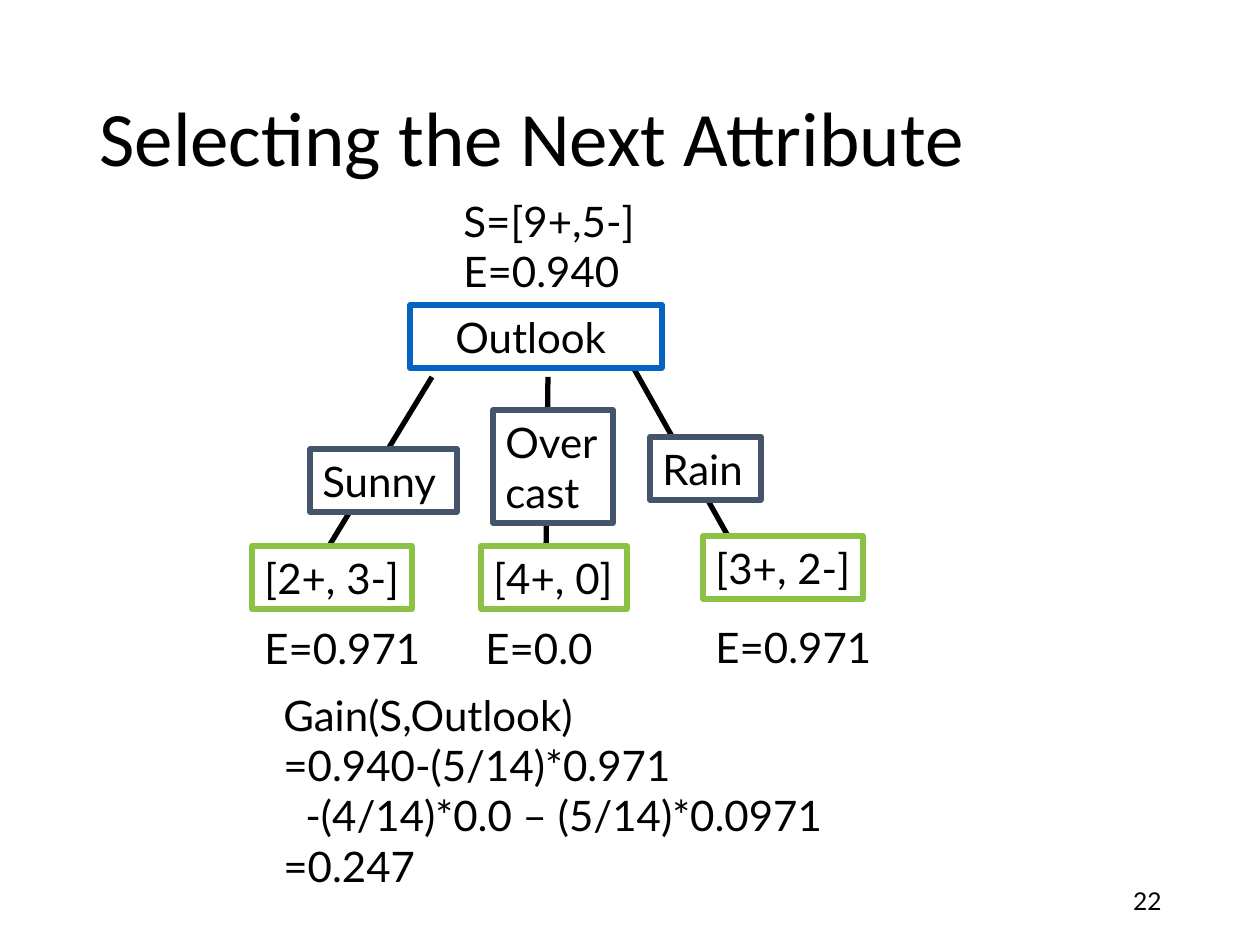
"""Builds a slide that evaluates Outlook as the next decision tree attribute."""
from dataclasses import dataclass

from lxml.etree import SubElement
from pptx import Presentation
from pptx.dml.color import RGBColor
from pptx.enum.shapes import MSO_CONNECTOR as Connector, MSO_SHAPE as Shape
from pptx.enum.text import MSO_ANCHOR as Anchor, PP_ALIGN as Align
from pptx.oxml.ns import qn
from pptx.slide import Slide
from pptx.util import Emu, Pt

PX_PER_INCH = 126
BLACK = RGBColor(0x00, 0x00, 0x00)
WHITE = RGBColor(0xFF, 0xFF, 0xFF)
BLUE = RGBColor(0x05, 0x63, 0xC1)
SLATE = RGBColor(0x44, 0x54, 0x6A)
GREEN = RGBColor(0x8B, 0xC1, 0x45)
STROKE = Pt(3)


@dataclass(frozen=True)
class Label:
    left: int
    top: int
    width: int
    height: int
    lines: tuple[str, ...]
    border: RGBColor | None = None
    size: int = 24
    font: str = "Lato"
    align: Align = Align.LEFT
    anchor: Anchor = Anchor.TOP
    spacing: float = 1.0
    wrap: bool = True
    indent: int = 0
    indented_line: int = 0


@dataclass(frozen=True)
class Branch:
    start: tuple[int, int]
    end: tuple[int, int]


BRANCHES = (
    Branch((432, 377), (329, 546)),
    Branch((633, 367), (728, 536)),
    Branch((548, 377), (546, 557)),
)

LABELS = (
    Label(87, 50, 1087, 183, ("Selecting the Next Attribute",), size=44,
          font="Calibri", anchor=Anchor.MIDDLE, spacing=0.9),
    Label(890, 876, 284, 50, ("22",), size=14, align=Align.RIGHT, anchor=Anchor.MIDDLE),
    Label(451, 189, 197, 113, ("S=[9+,5-]", "E=0.940"), wrap=False),
    Label(410, 305, 252, 63, ("Outlook",), BLUE, indent=33),
    Label(310, 449, 147, 63, ("Sunny",), SLATE),
    Label(493, 410, 120, 113, ("Over", "cast"), SLATE),
    Label(650, 437, 111, 63, ("Rain",), SLATE),
    Label(252, 546, 160, 63, ("[2+, 3-]",), GREEN, wrap=False),
    Label(481, 546, 146, 63, ("[4+, 0]",), GREEN, wrap=False),
    Label(703, 536, 160, 63, ("[3+, 2-]",), GREEN, wrap=False),
    Label(252, 630, 189, 48, ("E=0.971",), spacing=0.7),
    Label(473, 630, 189, 48, ("E=0.0",), spacing=0.7),
    Label(703, 615, 189, 63, ("E=0.971",)),
    Label(271, 683, 566, 214,
          ("Gain(S,Outlook)", "=0.940-(5/14)*0.971", "-(4/14)*0.0 – (5/14)*0.0971", "=0.247"),
          indent=22, indented_line=2),
)


def px(length: int) -> Emu:
    """Turn pixels into EMU."""
    return Emu(round(length * 914400 / PX_PER_INCH))


def draw_branch(page: Slide, branch: Branch) -> None:
    """Draw one straight branch of the tree."""
    ends = [px(length) for length in branch.start + branch.end]
    line = page.shapes.add_connector(Connector.STRAIGHT, *ends)
    line.line.color.rgb = BLACK
    line.line.width = STROKE
    SubElement(line._element.spPr, qn("a:effectLst"))


def draw_label(page: Slide, label: Label) -> None:
    """Draw a text box, or a bordered rectangle when a border is given."""
    bounds = [px(length) for length in (label.left, label.top, label.width, label.height)]
    if label.border is None:
        box = page.shapes.add_textbox(*bounds)
    else:
        box = page.shapes.add_shape(Shape.RECTANGLE, *bounds)
        box.shadow.inherit = False
        box.fill.solid()
        box.fill.fore_color.rgb = WHITE
        box.line.color.rgb = label.border
        box.line.width = STROKE
    frame = box.text_frame
    frame.word_wrap = label.wrap
    frame.vertical_anchor = label.anchor
    frame.text = "\n".join(label.lines)
    for para in frame.paragraphs:
        para.alignment = label.align
        para.line_spacing = label.spacing
        para.font.name = label.font
        para.font.size = Pt(label.size)
        para.font.color.rgb = BLACK
    if label.indent:
        properties = frame.paragraphs[label.indented_line]._p.get_or_add_pPr()
        properties.set("marL", str(px(label.indent)))


def main() -> None:
    """Build and save the deck."""
    deck = Presentation()
    deck.slide_width, deck.slide_height = px(1260), px(945)
    page = deck.slides.add_slide(deck.slide_layouts[6])
    for branch in BRANCHES:
        draw_branch(page, branch)
    for label in LABELS:
        draw_label(page, label)
    deck.save("out.pptx")


if __name__ == "__main__":
    main()
